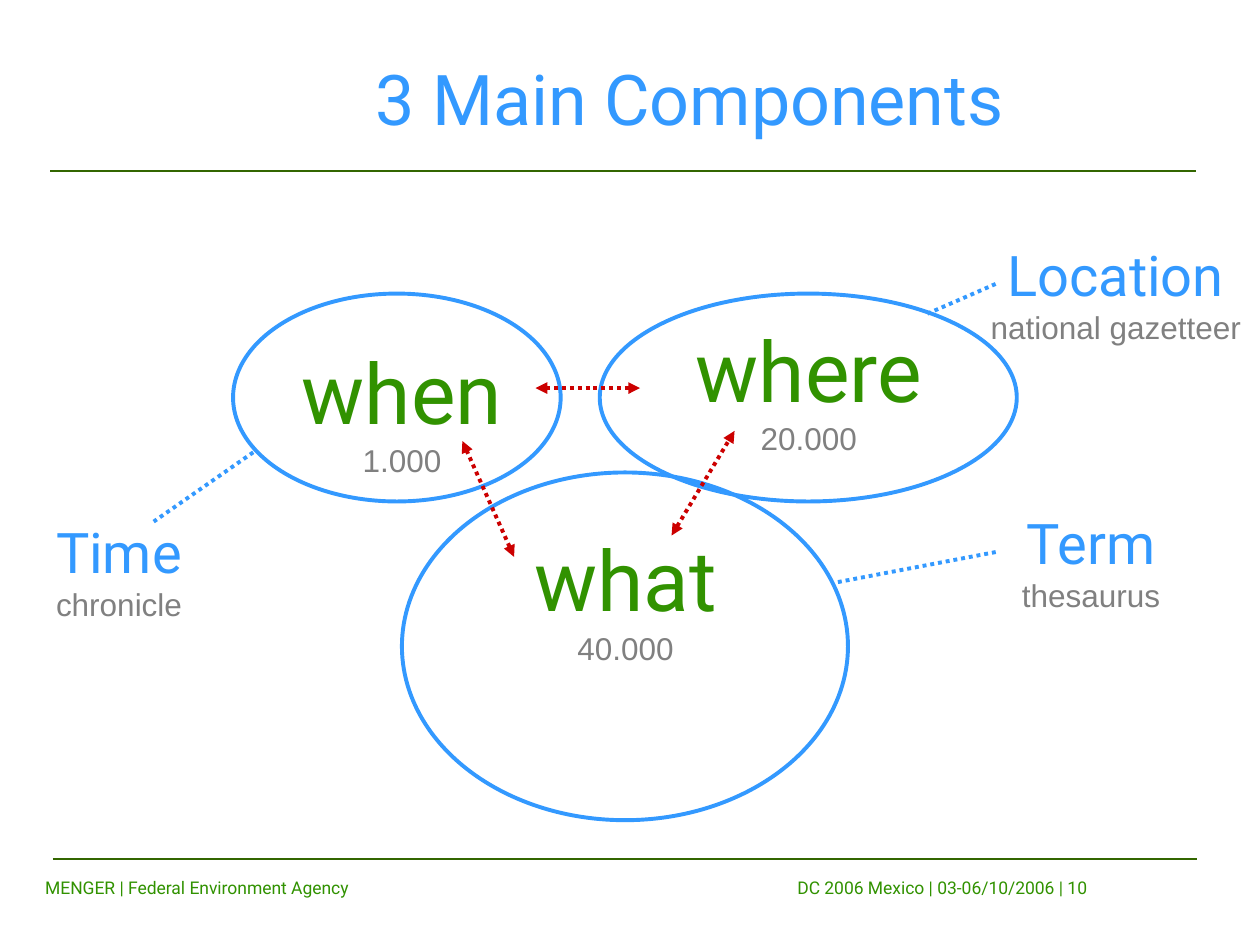
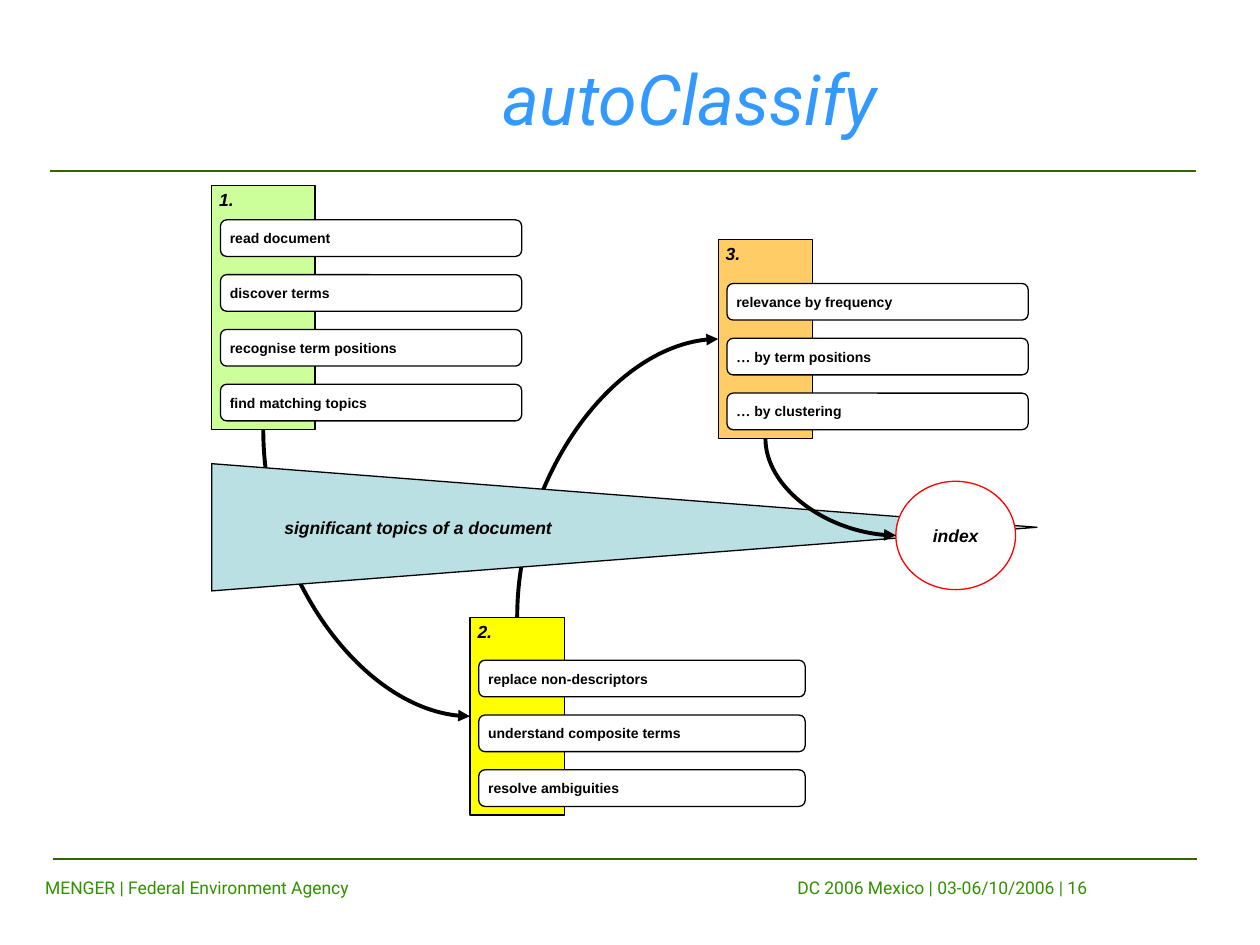
from lxml import etree
from pptx import Presentation
from pptx.dml.color import RGBColor
from pptx.enum.dml import MSO_LINE
from pptx.enum.shapes import MSO_CONNECTOR as Connector, MSO_SHAPE as Shape
from pptx.enum.text import MSO_ANCHOR as Anchor, PP_ALIGN as Align
from pptx.oxml.ns import qn
from pptx.util import Inches, Pt

BLUE, GREEN, DARK_GREEN = "3399FF", "319200", "336600"
GRAY, RED, BLACK, WHITE = "808080", "CC0000", "000000", "FFFFFF"
HEADING_FONT, BODY_FONT, ELLIPSIS_FONT = "Roboto", "Arial", "Times New Roman"


def color(value):
    return RGBColor.from_string(value)


class Deck:
    """Holds the shared style and the current slide."""

    def __init__(self):
        self.presentation = Presentation()
        self.presentation.slide_width = Inches(10)
        self.presentation.slide_height = Inches(7.5)
        self.slide = None

    def add_slide(self, title, number, italic=False):
        self.slide = self.presentation.slides.add_slide(self.presentation.slide_layouts[6])
        # Rules and footers
        self.line((0.42, 6.82), (9.5, 6.82), DARK_GREEN, 1)
        self.line((0.4, 1.36), (9.49, 1.36), DARK_GREEN, 1)
        self.text((6.23, 6.91, 3.15, 0.29), f"DC 2006 Mexico | 03-06/10/2006 | {number}", 10, GREEN)
        self.text((0.26, 6.91, 2.78, 0.27), "MENGER | Federal Environment Agency", 10, GREEN)
        # Title
        frame = self.text((1.85, 0.3, 7.25, 0.95), title, 40, BLUE, Align.CENTER, italic)
        frame.vertical_anchor = Anchor.MIDDLE

    def format(self, paragraph, size, text_color, font=HEADING_FONT, bold=False, italic=False):
        for run in paragraph.runs:
            run.font.name, run.font.size = font, Pt(size)
            run.font.bold, run.font.italic = bold, italic
            run.font.color.rgb = color(text_color)

    def text(self, box, text, size, text_color, align=Align.LEFT, italic=False):
        frame = self.slide.shapes.add_textbox(*map(Inches, box)).text_frame
        frame.word_wrap = True
        paragraph = frame.paragraphs[0]
        paragraph.text, paragraph.alignment = text, align
        self.format(paragraph, size, text_color, italic=italic)
        return frame

    def label(self, box, heading, detail, size, text_color):
        frame = self.text(box, heading, size, text_color, Align.CENTER)
        frame.word_wrap = False
        paragraph = frame.add_paragraph()
        paragraph.text, paragraph.alignment = detail, Align.CENTER
        self.format(paragraph, 18, GRAY, BODY_FONT)

    def shape(self, kind, box, fill=None, outline=BLACK, width=0.75):
        shape = self.slide.shapes.add_shape(kind, *map(Inches, box))
        shape.shadow.inherit = False
        if fill:
            shape.fill.solid()
            shape.fill.fore_color.rgb = color(fill)
        else:
            shape.fill.background()
        shape.line.color.rgb = color(outline)
        shape.line.width = Pt(width)
        return shape

    def caption(self, shape, text, size=10, italic=True, align=Align.CENTER, anchor=Anchor.MIDDLE):
        frame = shape.text_frame
        frame.word_wrap, frame.vertical_anchor = True, anchor
        frame.margin_left = frame.margin_right = Inches(0.06)
        frame.margin_top = frame.margin_bottom = Inches(0.03)
        paragraph = frame.paragraphs[0]
        paragraph.alignment = align
        if text.startswith("…"):
            paragraph.add_run().text = "…"
            paragraph.add_run().text = text[1:]
        else:
            paragraph.text = text
        self.format(paragraph, size, BLACK, BODY_FONT, True, italic)
        if text.startswith("…"):
            paragraph.runs[0].font.name = ELLIPSIS_FONT

    def line(self, begin, end, line_color, width=2.25, dotted=False, arrows=(),
             kind=Connector.STRAIGHT):
        connector = self.slide.shapes.add_connector(kind, *map(Inches, begin + end))
        connector.line.color.rgb = color(line_color)
        connector.line.width = Pt(width)
        if dotted:
            connector.line.dash_style = MSO_LINE.ROUND_DOT
        properties = connector._element.spPr
        for arrow in arrows:
            etree.SubElement(properties.find(qn("a:ln")), qn(f"a:{arrow}"), type="triangle")
        etree.SubElement(properties, qn("a:effectLst"))
        return connector

    def curve(self, source, target):
        """Quarter curve leaving source vertically and entering target's left side."""
        downward = target.top > source.top
        tip = (target.left.inches, (target.top + target.height // 2) / Inches(1))
        start_y = source.top + source.height if downward else source.top
        start = ((source.left + source.width // 2) / Inches(1), start_y / Inches(1))
        connector = self.line(tip, start, BLACK, arrows=["headEnd"], kind=Connector.CURVE)
        connector._element.spPr.find(qn("a:prstGeom")).set("prst", "curvedConnector2")

    def stage(self, box, fill, name, steps, step_width):
        """Numbered panel with its steps stacked up from the bottom edge."""
        left, top, _, height = box
        panel = self.shape(Shape.RECTANGLE, box, fill)
        self.caption(panel, name, align=Align.LEFT, anchor=Anchor.TOP)
        first_top = top + height - 0.36 - 0.435 * (len(steps) - 1)
        for index, step in enumerate(steps):
            row = (left + 0.07, first_top + 0.435 * index, step_width, 0.29)
            self.caption(self.shape(Shape.ROUNDED_RECTANGLE, row, WHITE), step,
                         8, False, Align.LEFT)
        return panel


def components_slide(deck):
    deck.add_slide("3 Main Components", 10)
    # Ellipses
    for box in [(3.19, 3.75, 3.54, 2.76), (4.76, 2.33, 3.31, 1.65), (1.85, 2.33, 2.6, 1.65)]:
        deck.shape(Shape.OVAL, box, outline=BLUE, width=2.25)
    # Outer labels with dotted leaders
    for box, heading, detail, begin, end in [
        ((8.01, 3.99, 1.3, 0.94), "Term", "thesaurus", (6.65, 4.62), (7.91, 4.38)),
        ((7.76, 1.86, 2.19, 0.94), "Location", "national gazetteer", (7.36, 2.49), (7.91, 2.25)),
        ((0.33, 4.06, 1.23, 0.94), "Time", "chronicle", (2.01, 3.59), (1.22, 4.14)),
    ]:
        deck.label(box, heading, detail, 32, BLUE)
        deck.line(begin, end, BLUE, dotted=True)
    # Questions inside the ellipses
    for box, question, count in [
        ((4.09, 4.14, 1.75, 1.2), "what", "40.000"),
        ((5.34, 2.48, 2.16, 1.2), "where", "20.000"),
        ((2.23, 2.65, 1.92, 1.2), "when", "1.000"),
    ]:
        deck.label(box, question, count, 48, GREEN)
    # Two-way arrows
    for begin, end in [((4.08, 4.42), (3.67, 3.5)), ((5.33, 4.25), (5.83, 3.42)),
                       ((4.25, 3.08), (5.08, 3.08))]:
        deck.line(begin, end, RED, dotted=True, arrows=["headEnd", "tailEnd"])


def classify_slide(deck):
    deck.add_slide("autoClassify", 16, italic=True)
    # Stages
    reading = deck.stage((1.68, 1.47, 0.82, 1.94), "CCFF99", "1.", [
        "read document", "discover terms", "recognise term positions", "find matching topics"], 2.39)
    ranking = deck.stage((5.7, 1.9, 0.75, 1.58), "FFCC66", "3.", [
        "relevance by frequency", "… by term positions", "… by clustering"], 2.39)
    cleaning = deck.stage((3.73, 4.9, 0.75, 1.57), "FFFF00", "2.", [
        "replace non-descriptors", "understand composite terms", "resolve ambiguities"], 2.59)
    deck.curve(cleaning, ranking)
    deck.curve(reading, cleaning)
    # Funnel, with its text turned back to horizontal
    funnel = deck.shape(Shape.ISOSCELES_TRIANGLE, (4.45, 0.91, 1.01, 6.55), "BBE0E3")
    funnel.rotation = 90
    deck.caption(funnel, "significant topics of a document")
    funnel.text_frame._txBody.bodyPr.set("vert", "vert270")
    # Resulting index
    index = deck.shape(Shape.OVAL, (7.11, 3.82, 0.95, 0.86), WHITE, "FF0000")
    deck.caption(index, "index")
    deck.curve(ranking, index)


def main():
    deck = Deck()
    components_slide(deck)
    classify_slide(deck)
    deck.presentation.save("out.pptx")


if __name__ == "__main__":
    main()
